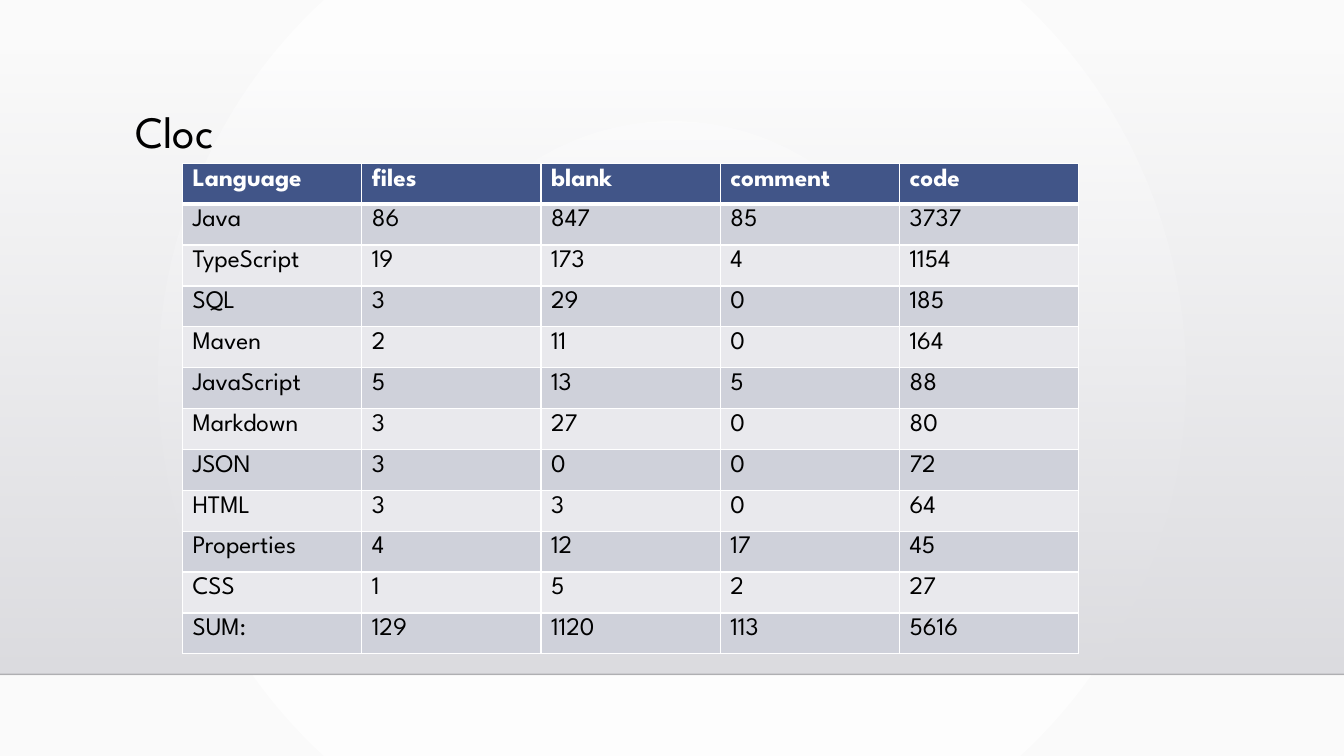
from lxml import etree
from pptx import Presentation, util as u
from pptx.dml.color import RGBColor
from pptx.enum import shapes, text
from pptx.oxml import parse_xml
from pptx.oxml.ns import nsdecls, qn

WHITE = RGBColor(0xFF, 0xFF, 0xFF)
BLACK = RGBColor(0, 0, 0)
PAPER = RGBColor(0xFA, 0xFA, 0xFA)
MIST_TOP = RGBColor(0xDC, 0xDC, 0xE0)
MIST_BOTTOM = RGBColor(0xDE, 0xDE, 0xE2)
HEADER = RGBColor(0x41, 0x55, 0x88)
BANDS = (RGBColor(0xCF, 0xD1, 0xDA), RGBColor(0xE9, 0xE9, 0xED))
FONT = "League Spartan"

COUNTS = [
    ("Language", "files", "blank", "comment", "code"),
    ("Java", 86, 847, 85, 3737),
    ("TypeScript", 19, 173, 4, 1154),
    ("SQL", 3, 29, 0, 185),
    ("Maven", 2, 11, 0, 164),
    ("JavaScript", 5, 13, 5, 88),
    ("Markdown", 3, 27, 0, 80),
    ("JSON", 3, 0, 0, 72),
    ("HTML", 3, 3, 0, 64),
    ("Properties", 4, 12, 17, 45),
    ("CSS", 1, 5, 2, 27),
    ("SUM:", 129, 1120, 113, 5616),
]


def apply(obj, values):
    """Set attributes of an object from a dict."""
    for name, value in values.items():
        setattr(obj, name, value)


def set_alpha(color, percent):
    """Give a colour element an opacity in percent."""
    etree.SubElement(color, qn("a:alpha")).set("val", str(percent * 1000))


class Deck:
    """Holds the style and the current slide."""

    def __init__(self, prs):
        """Add a title-only slide."""
        self.s = prs.slides.add_slide(prs.slide_layouts[5])

    def style(self, p, words, size, color, bold=False):
        """Write one formatted run into a paragraph."""
        r = p.add_run()
        r.text = str(words)
        apply(r.font, {"name": FONT, "size": u.Pt(size), "bold": bold})
        r.font.color.rgb = color

    def gradient(self, fill, colors):
        """Fill with a two-colour gradient."""
        fill.gradient()
        for stop, color, position in zip(fill.gradient_stops, colors, (0, 1)):
            stop.color.rgb = color
            stop.position = position

    def background(self, inner, outer):
        """Paint a radial gradient behind the slide."""
        self.gradient(self.s.background.fill, (inner, outer))
        grad = self.s._element.xpath("./p:cSld/p:bg//a:gradFill")[0]
        for lin in grad.findall(qn("a:lin")):
            grad.remove(lin)
        grad.append(parse_xml(
            f'<a:path {nsdecls("a")} path="circle"><a:fillToRect '
            'l="50000" t="50000" r="50000" b="50000"/></a:path>'))

    def fade(self, x, y, w, h):
        """Add a rectangle that fades in from top to bottom."""
        sp = self.s.shapes.add_shape(
            shapes.MSO_SHAPE.RECTANGLE, *map(u.Inches, (x, y, w, h)))
        sp.shadow.inherit = False
        sp.line.fill.background()
        self.gradient(sp.fill, (MIST_TOP, MIST_BOTTOM))
        sp.fill.gradient_angle = 270
        set_alpha(sp._element.xpath(".//a:gs/a:srgbClr")[0], 0)

    def line(self, x1, y1, x2, y2):
        """Add a faint horizon line."""
        c = self.s.shapes.add_connector(
            shapes.MSO_CONNECTOR.STRAIGHT, *map(u.Inches, (x1, y1, x2, y2)))
        c.line.width = u.Pt(1)
        c.line.color.rgb = BLACK
        set_alpha(c._element.xpath(".//a:ln//a:srgbClr")[0], 20)
        etree.SubElement(c._element.spPr, qn("a:effectLst"))

    def title(self, words, x, y, w, h):
        """Place and fill the title placeholder."""
        sp = self.s.shapes.title
        apply(sp, dict(zip(("left", "top", "width", "height"),
                           map(u.Inches, (x, y, w, h)))))
        tf = sp.text_frame
        apply(tf, {"word_wrap": True, "auto_size": text.MSO_AUTO_SIZE.NONE,
                   "vertical_anchor": text.MSO_ANCHOR.TOP})
        p = tf.paragraphs[0]
        apply(p, {"alignment": text.PP_ALIGN.LEFT, "line_spacing": 0.9})
        self.style(p, words, 32, BLACK)

    def borders(self, cell, top, bottom):
        """Draw white borders around a cell, widths in points."""
        tc_pr = cell._tc.get_or_add_tcPr()
        for side, width in zip("LRTB", (1, 1, top, bottom)):
            tc_pr.append(parse_xml(
                f'<a:ln{side} {nsdecls("a")} w="{u.Pt(width)}"><a:solidFill>'
                f'<a:srgbClr val="{WHITE}"/></a:solidFill></a:ln{side}>'))

    def table(self, rows, x, y, w, h):
        """Add a banded table with a header row."""
        tbl = self.s.shapes.add_table(
            len(rows), len(rows[0]), *map(u.Inches, (x, y, w, h))).table
        for i, row in enumerate(rows):
            head = i == 0
            for j, value in enumerate(row):
                cell = tbl.cell(i, j)
                self.borders(cell, 3 if i == 1 else 1, 3 if head else 1)
                cell.fill.solid()
                cell.fill.fore_color.rgb = HEADER if head else BANDS[(i - 1) % 2]
                self.style(cell.text_frame.paragraphs[0], value, 18,
                           WHITE if head else BLACK, head)


prs = Presentation()
apply(prs, {"slide_width": u.Inches(13.33), "slide_height": u.Inches(7.5)})
deck = Deck(prs)
deck.background(WHITE, PAPER)
deck.fade(0, 0.51, 13.33, 6.18)
deck.line(0, 6.69, 13.33, 6.69)
deck.title("Cloc", 1.24, 1.04, 10.5, 1.15)
deck.table(COUNTS, 1.81, 1.62, 8.89, 4.87)

# The title placeholder comes first by default; lift it above the backdrop.
tree = deck.s.shapes._spTree
tree.insert(tree.index(tree.findall(qn("p:graphicFrame"))[0]),
            deck.s.shapes.title._element)
prs.save("out.pptx")
